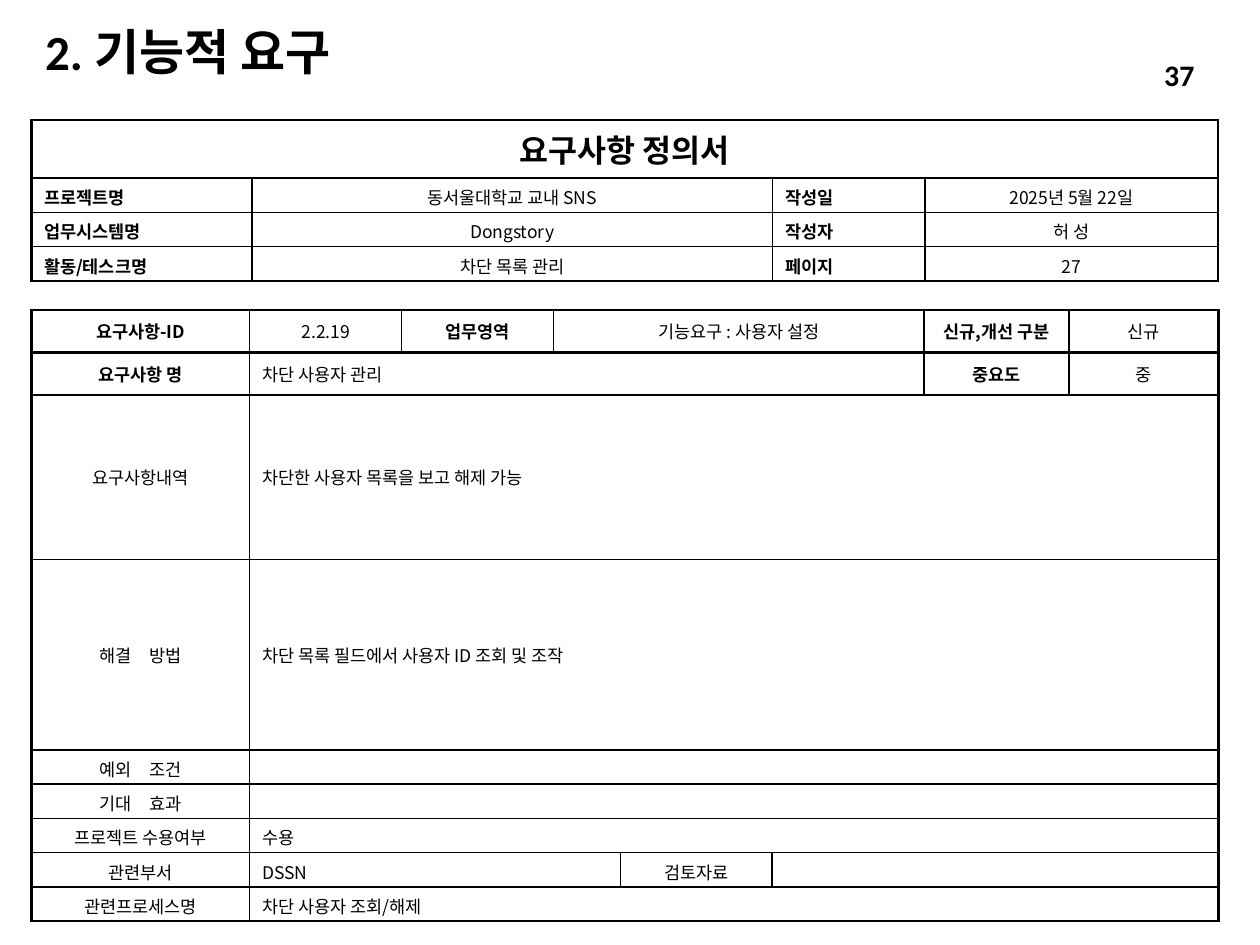
from collections import namedtuple

from lxml import etree
from pptx import Presentation
from pptx.dml.color import RGBColor
from pptx.enum.text import MSO_ANCHOR, PP_ALIGN
from pptx.oxml.ns import qn
from pptx.util import Pt

LEFT, CENTER = PP_ALIGN.LEFT, PP_ALIGN.CENTER
RIGHT, JUSTIFY = PP_ALIGN.RIGHT, PP_ALIGN.JUSTIFY
TOP, MIDDLE = MSO_ANCHOR.TOP, MSO_ANCHOR.MIDDLE
COLORS = {"ink": "000000"}
KOREAN, LATIN = "Noto Sans CJK KR", "Calibri"
THICK, THIN = 1.5, 1
WORD_GAP = 8

Cell = namedtuple("Cell", "text span align bold size font anchor",
                  defaults=(1, CENTER, False, 10, KOREAN, MIDDLE))


def add_run(p, text, size, bold, font, spacing=0):
    r = p.add_run()
    r.text = text
    r.font.size = Pt(size)
    r.font.bold = bold
    r.font.name = font
    r.font.color.rgb = RGBColor.from_string(COLORS["ink"])
    rPr = r.font._element
    ea = etree.Element(qn("a:ea"), typeface=KOREAN)
    rPr.find(qn("a:latin")).addnext(ea)
    if spacing:
        rPr.set("spc", str(spacing * 100))


def add_text(s, box, text, size, align):
    sp = s.shapes.add_textbox(*map(Pt, box))
    tf = sp.text_frame
    tf.word_wrap = True
    tf.vertical_anchor = MIDDLE
    p = tf.paragraphs[0]
    p.alignment = align
    p.line_spacing = 0.9
    add_run(p, text, size, True, LATIN)


def set_border(cell, side, width):
    ln = etree.SubElement(cell._tc.get_or_add_tcPr(), qn(f"a:ln{side}"),
                          w=str(Pt(width)))
    fill = etree.SubElement(ln, qn("a:solidFill"))
    etree.SubElement(fill, qn("a:srgbClr"), val=COLORS["ink"])


def fill_cell(cell, spec):
    """Write the text; a bar in it marks a wide gap between two words."""
    cell.vertical_anchor = spec.anchor
    p = cell.text_frame.paragraphs[0]
    p.alignment = spec.align
    if not spec.text:
        p._p.get_or_add_endParaRPr().set("sz", str(spec.size * 100))
        return
    for i, word in enumerate(spec.text.split("|")):
        if i:
            add_run(p, " ", spec.size, spec.bold, spec.font, WORD_GAP)
        add_run(p, word, spec.size, spec.bold, spec.font)


def add_grid(s, box, widths, heights, rows, thick_rules):
    """thick_rules holds the numbers of the heavy horizontal lines."""
    frame = s.shapes.add_table(len(rows), len(widths), *map(Pt, box))
    table = frame.table
    table.first_row = table.horz_banding = False
    for column, width in zip(table.columns, widths):
        column.width = Pt(width)
    for row, height in zip(table.rows, heights):
        row.height = Pt(height)
    for y, specs in enumerate(rows):
        x = 0
        for spec in specs:
            end = x + spec.span
            if spec.span > 1:
                table.cell(y, x).merge(table.cell(y, end - 1))
            for column in range(x, end):
                cell = table.cell(y, column)
                if column == x:
                    set_border(cell, "L", THIN if x else THICK)
                    set_border(cell, "R",
                               THICK if end == len(widths) else THIN)
                set_border(cell, "T", THICK if y in thick_rules else THIN)
                set_border(cell, "B", THICK if y + 1 in thick_rules else THIN)
                cell.fill.background()
            fill_cell(table.cell(y, x), spec)
            x = end


def add_document_header(s, box):
    entries = [
        ("프로젝트명", "동서울대학교 교내 SNS", "작성일", "2025년 5월 22일"),
        ("업무시스템명", "Dongstory", "작성자", "허 성"),
        ("활동/테스크명", "차단 목록 관리", "페이지", "27"),
    ]
    rows = [[Cell("요구사항 정의서", 4, bold=True, size=18)]]
    for entry in entries:
        rows.append([Cell(text, align=CENTER if i % 2 else JUSTIFY,
                          bold=i % 2 == 0, anchor=TOP)
                     for i, text in enumerate(entry)])
    add_grid(s, box, [126, 297.4, 87.1, 167.5], [33.4] + [19.6] * 3,
             rows, {0, 4})


def add_requirement(s, box):
    rows = [
        [Cell("요구사항-ID", bold=True), Cell("2.2.19"),
         Cell("업무영역", bold=True), Cell("기능요구 : 사용자 설정", 3),
         Cell("신규,개선 구분", bold=True), Cell("신규")],
        [Cell("요구사항 명", bold=True), Cell("차단 사용자 관리", 5, LEFT),
         Cell("중요도", bold=True), Cell("중")],
        [Cell("요구사항내역"),
         Cell("차단한 사용자 목록을 보고 해제 가능", 7, LEFT, font=LATIN)],
        [Cell("해결|방법"),
         Cell("차단 목록 필드에서 사용자 ID 조회 및 조작", 7, LEFT)],
        [Cell("예외|조건"), Cell("", 7)],
        [Cell("기대|효과"), Cell("", 7)],
        [Cell("프로젝트 수용여부"), Cell("수용", 7, LEFT)],
        [Cell("관련부서"), Cell("DSSN", 3, LEFT),
         Cell("검토자료"), Cell("", 3)],
        [Cell("관련프로세스명"), Cell("차단 사용자 조회/해제", 7, LEFT)],
    ]
    add_grid(s, box, [124.7, 86.8, 86.8, 38.2, 86.8, 86.8, 82.8, 85.5],
             [24.2, 24.2, 94.3, 108.7] + [19.6] * 5, rows, {0, 1, 2, 9})


def main():
    prs = Presentation()
    prs.slide_width, prs.slide_height = Pt(720), Pt(540)
    s = prs.slides.add_slide(prs.slide_layouts[6])
    add_text(s, (18.7, 15, 386, 32), "2. 기능적 요구", 28, LEFT)
    add_requirement(s, (18, 177.2, 678.4, 355))
    add_document_header(s, (18, 68.4, 678, 92.2))
    add_text(s, (573, 29.5, 116.6, 29), "37", 17, RIGHT)
    prs.save("out.pptx")


if __name__ == "__main__":
    main()
